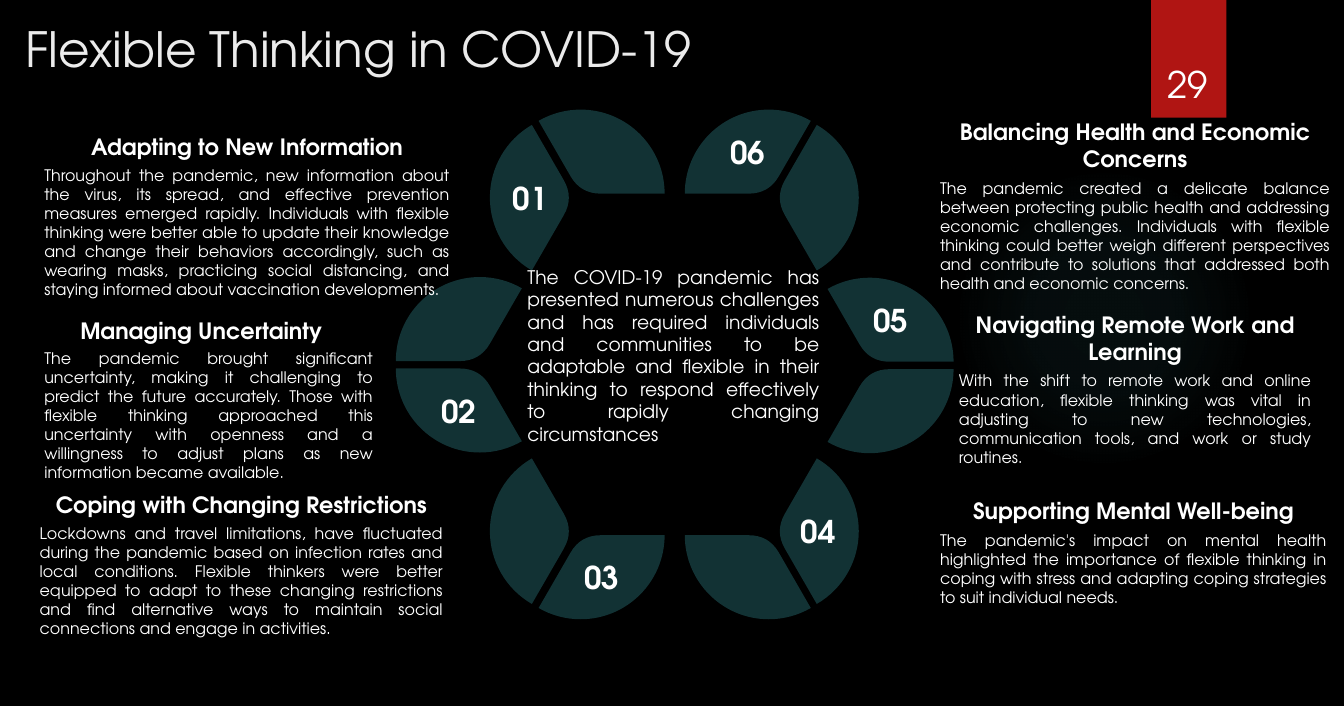
"""Build the Flexible Thinking in COVID-19 slide."""
import math
from lxml import etree
from pptx import Presentation, util as u
from pptx.dml.color import RGBColor
from pptx.enum import shapes, text
from pptx.oxml.ns import qn

FONT = "TeX Gyre Adventor"
AL, ANCHOR = text.PP_ALIGN, text.MSO_ANCHOR


def paint(color, value, alpha=None):
    color.rgb = RGBColor.from_string(value)
    if alpha:
        clr = color._xFill.find(".//" + qn("a:srgbClr"))
        etree.SubElement(clr, qn("a:alpha")).set("val", str(alpha * 1000))


def write(sp, words, size, align, anchor=ANCHOR.TOP, bold=False, color="FFFFFF", side=0.1, grow=False):
    tf = sp.text_frame
    frame = {"word_wrap": True, "vertical_anchor": anchor, "margin_left": u.Inches(side),
             "margin_right": u.Inches(side), "margin_top": u.Inches(0.05), "margin_bottom": u.Inches(0.05),
             "auto_size": text.MSO_AUTO_SIZE.SHAPE_TO_FIT_TEXT if grow else text.MSO_AUTO_SIZE.NONE}
    for name, value in frame.items():
        setattr(tf, name, value)
    p = tf.paragraphs[0]
    p.alignment = align
    r = p.add_run()
    r.text = words
    for name, value in {"name": FONT, "size": u.Pt(size), "bold": bold}.items():
        setattr(r.font, name, value)
    paint(r.font.color, color)


prs = Presentation()
prs.slide_width, prs.slide_height = u.Inches(20), u.Inches(10.5)
s = prs.slides.add_slide(prs.slide_layouts[6])
s.background.fill.solid()
paint(s.background.fill.fore_color, "000000")

glow = s.shapes.add_shape(shapes.MSO_SHAPE.OVAL, *map(u.Inches, (14.12, 2.57, 4.62, 4.32)))
glow.shadow.inherit = False
glow.line.fill.background()
grad = etree.Element(qn("a:gradFill"))
stops = etree.SubElement(grad, qn("a:gsLst"))
for pos, alpha in [(0, 7), (36, 6), (69, 0)]:
    gs = etree.SubElement(stops, qn("a:gs"), pos=str(pos * 1000))
    clr = etree.SubElement(gs, qn("a:srgbClr"), val="50B9C1")
    etree.SubElement(clr, qn("a:alpha"), val=str(alpha * 1000))
way = etree.SubElement(grad, qn("a:path"), {"path": "circle"})
etree.SubElement(way, qn("a:fillToRect"), {side: "50000" for side in "ltrb"})
glow._element.spPr.find(qn("a:prstGeom")).addnext(grad)

tab = s.shapes.add_shape(shapes.MSO_SHAPE.RECTANGLE, *map(u.Inches, (17.13, 0, 1.12, 1.75)))
tab.shadow.inherit = False
tab.line.fill.background()
tab.fill.solid()
paint(tab.fill.fore_color, "B01513")

sp = s.shapes.add_textbox(*map(u.Inches, (0.28, 0.23, 12.01, 0.84)))
write(sp, "Flexible Thinking in COVID-19", 52, AL.LEFT, color="EBEBEB")
sp = s.shapes.add_textbox(*map(u.Inches, (16.99, 0.45, 1.37, 1.18)))
write(sp, "29", 39.2, AL.CENTER, ANCHOR.BOTTOM)

# centre x, centre y, start angle, number
petals = [
    (8.64, 2.88, 0, ""), (11.44, 2.88, 60, "06"), (8.54, 2.94, 120, "01"), (11.53, 2.94, -60, ""),
    (7.14, 5.37, 60, ""), (12.94, 5.38, 0, "05"), (7.14, 5.48, 180, "02"), (12.94, 5.49, 240, ""),
    (8.54, 7.9, 120, ""), (11.53, 7.9, -60, "04"), (8.64, 7.96, 240, "03"), (11.44, 7.96, 180, ""),
]
RADIUS, ROUNDING, SWEEP = 1.25, 0.3, 120
for cx, cy, start, number in petals:
    end, split = start + SWEEP, (start // 90 + 1) * 90
    polar = [(RADIUS, start)]
    for a, b in [(start, split), (split, end)]:
        handle = 4 / 3 * math.tan(math.radians(b - a) / 4)
        reach, turn = RADIUS * math.hypot(1, handle), math.degrees(math.atan(handle))
        polar += [(reach, a + turn), (reach, b - turn), (RADIUS, b)]
    polar += [(ROUNDING, end), (ROUNDING / 3, end), (ROUNDING / 3, start), (ROUNDING, start)]
    pts = [(u.Inches(cx + d * math.cos(math.radians(a))), u.Inches(cy - d * math.sin(math.radians(a))))
           for d, a in polar]
    fb = s.shapes.build_freeform(*pts[0])
    fb.add_line_segments(pts[1:], close=True)
    sp = fb.convert_to_shape()
    lines = sp._element.findall(".//" + qn("a:lnTo"))
    for first in (0, 3, 7):
        curve = etree.Element(qn("a:cubicBezTo"))
        lines[first].addprevious(curve)
        for line in lines[first:first + 3]:
            curve.append(line[0])
            line.getparent().remove(line)
    sp.shadow.inherit = False
    sp.line.fill.background()
    sp.fill.solid()
    paint(sp.fill.fore_color, "1E5155", 62)
    if number:
        write(sp, number, 33.6, AL.CENTER, ANCHOR.MIDDLE, True)

# left, heading top, heading width, heading height, body top, body width, body height, heading, body
topics = [
    (14.27, 4.57, 5.24, 0.91, 5.47, 5.24, 1.53, "Navigating Remote Work and Learning",
     "With the shift to remote work and online education, flexible thinking was vital in adjusting to new "
     "technologies, communication tools, and work or study routines."),
    (13.99, 7.34, 5.75, 0.5, 7.84, 5.75, 1.25, "Supporting Mental Well-being",
     "The pandemic's impact on mental health highlighted the importance of flexible thinking in coping with "
     "stress and adapting coping strategies to suit individual needs."),
    (0.66, 4.66, 4.67, 0.5, 5.13, 4.89, 2.1, "Managing Uncertainty",
     "The pandemic brought significant uncertainty, making it challenging to predict the future accurately. "
     "Those with flexible thinking approached this uncertainty with openness and a willingness to adjust "
     "plans as new information became available."),
    (0.59, 7.25, 6, 0.5, 7.74, 6, 1.82, "Coping with Changing Restrictions",
     "Lockdowns and travel limitations, have fluctuated during the pandemic based on infection rates and "
     "local conditions. Flexible thinkers were better equipped to adapt to these changing restrictions and "
     "find alternative ways to maintain social connections and engage in activities."),
    (13.99, 1.7, 5.8, 0.91, 2.6, 5.8, 1.82, "Balancing Health and Economic Concerns",
     "The pandemic created a delicate balance between protecting public health and addressing economic "
     "challenges. Individuals with flexible thinking could better weigh different perspectives and "
     "contribute to solutions that addressed both health and economic concerns."),
    (0.66, 1.93, 6.03, 0.5, 2.41, 6.03, 2.1, "Adapting to New Information",
     "Throughout the pandemic, new information about the virus, its spread, and effective prevention "
     "measures emerged rapidly. Individuals with flexible thinking were better able to update their "
     "knowledge and change their behaviors accordingly, such as wearing masks, practicing social "
     "distancing, and staying informed about vaccination developments."),
]
for left, head_top, head_w, head_h, body_top, body_w, body_h, heading, body in topics:
    sp = s.shapes.add_textbox(*map(u.Inches, (left, head_top, head_w, head_h)))
    write(sp, heading, 24, AL.CENTER, ANCHOR.BOTTOM, True, side=0, grow=True)
    sp = s.shapes.add_textbox(*map(u.Inches, (left, body_top, body_w, body_h)))
    write(sp, body, 17, AL.JUSTIFY, side=0, grow=True)

sp = s.shapes.add_textbox(*map(u.Inches, (7.75, 3.9, 4.54, 2.79)))
write(sp, "The COVID-19 pandemic has presented numerous challenges and has required individuals and communities "
      "to be adaptable and flexible in their thinking to respond effectively to rapidly changing circumstances",
      20, AL.JUSTIFY, grow=True)

prs.save("out.pptx")
